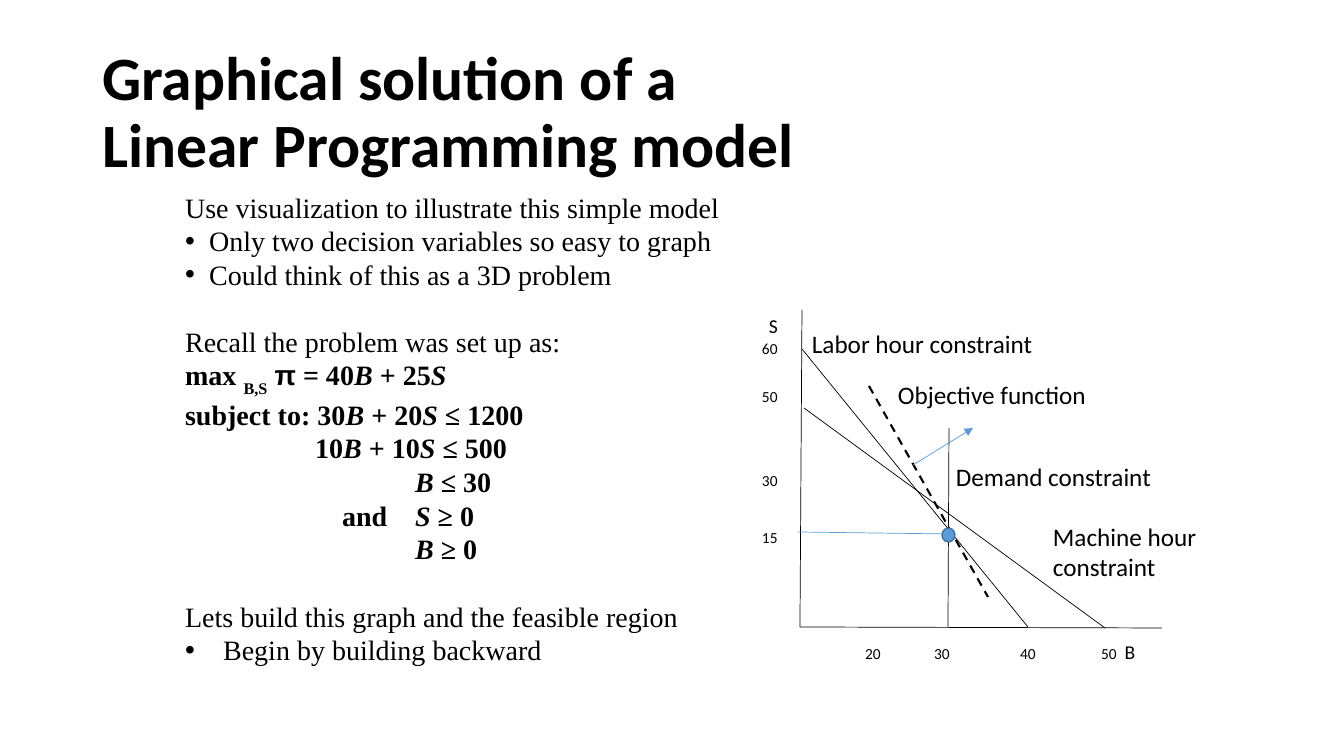
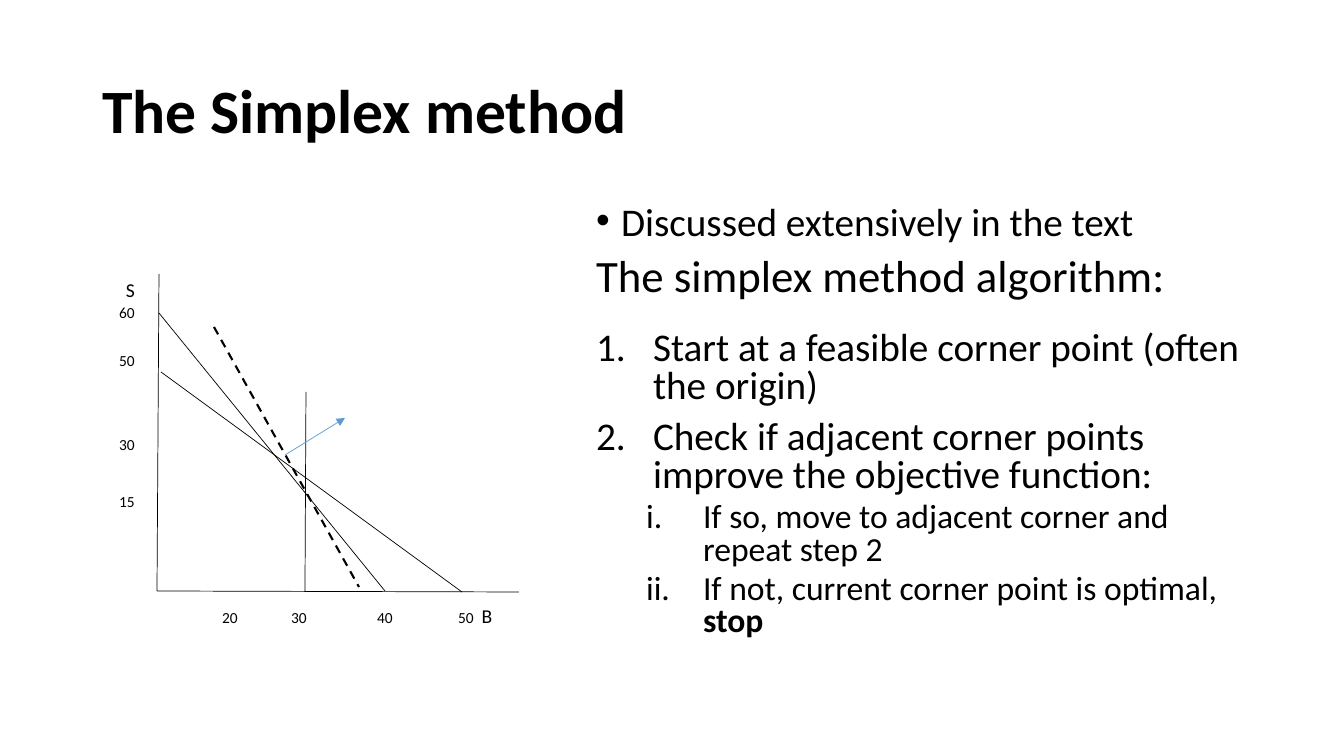
import pptx
import pptx.util
import pptx.dml.color
import pptx.enum.dml
import pptx.enum.shapes
import pptx.enum.text
import pptx.oxml
import pptx.oxml.ns

PX = 12192000 / 1344
COLORS = {"ink": "000000", "paper": "FFFFFF", "accent": "5B9BD5",
          "accent_edge": "43739E"}
SANS, SERIF = "Calibri", "Times New Roman"
TITLE_BOX = (92, 41, 1159, 146)
DOT, ARABIC, ROMAN = "•", "arabicPeriod", "romanLcPeriod"

# Run styles: b bold, i italic, s subscript, g Arial for Greek.
# Paragraph fields: runs, bullet, left, hang, size, before, after, level.
MODEL_BOX = (175, 185, 600, 500)
MODEL_STYLE = {"font": SERIF, "size": 20, "spacing": pptx.util.Pt(24)}
MODEL_TEXT = [
    {"runs": [("Use visualization to illustrate this simple model", "")]},
    {"runs": [("Only two decision variables so easy to graph", "")],
     "bullet": DOT, "left": 24, "hang": 24},
    {"runs": [("Could think of this as a 3D problem", "")],
     "bullet": DOT, "left": 24, "hang": 24},
    {"runs": [("Recall the problem was set up as:", "")], "before": 24},
    {"runs": [("max ", "b"), ("B,S", "bs"), (" ", "b"), ("π", "bg"),
              (" = 40", "b"), ("B", "bi"), (" + 25", "b"), ("S", "bi")],
     "before": 4},
    {"runs": [("subject to: 30", "b"), ("B", "bi"), (" + 20", "b"),
              ("S", "bi"), (" ≤ 1200", "b")]},
    {"runs": [("10", "b"), ("B", "bi"), (" + 10", "b"), ("S", "bi"),
              (" ≤ 500", "b")], "left": 130},
    {"runs": [("B", "bi"), (" ≤ 30", "b")], "left": 230},
    {"runs": [("and\t", "b"), ("S", "bi"), (" ≥ 0", "b")],
     "left": 230, "hang": 73},
    {"runs": [("B", "bi"), (" ≥ 0", "b")], "left": 230},
    {"runs": [("Lets build this graph and the feasible region", "")],
     "before": 24},
    {"runs": [("Begin by building backward", "")],
     "bullet": DOT, "left": 38, "hang": 38},
]

SIMPLEX_BOX = (586, 201, 665, 480)
SIMPLEX_STYLE = {"font": SANS, "size": 28, "spacing": 0.8, "before": 10}
STEP = {"bullet": ARABIC, "left": 57, "hang": 57}
SUBSTEP = {"bullet": ROMAN, "left": 107, "hang": 57, "level": 1,
           "size": 24, "before": 5}
SIMPLEX_TEXT = [
    {"runs": [("Discussed extensively in the text", "")],
     "bullet": DOT, "left": 25, "hang": 25},
    {"runs": [("The simplex method algorithm:", "")], "size": 32, "after": 12},
    {"runs": [("Start at a feasible corner point (often the origin)", "")],
     **STEP},
    {"runs": [("Check if adjacent corner points improve the objective "
               "function:", "")], **STEP},
    {"runs": [("If so, move to adjacent corner and repeat step 2", "")],
     **SUBSTEP},
    {"runs": [("If not, current corner point is optimal, ", ""),
              ("stop", "b")], **SUBSTEP},
]

# Graph parts are measured from the point where the axes meet.
GRAPH_LINES = {
    "S axis": (2, -317, 0, 0),
    "B axis": (0, 0, 362, 1),
    "demand": (149, -199, 148, 0),
    "machine hours": (4, -219, 305, 1),
    "labor hours": (2, -278, 228, 0),
}
B_PANEL = (6, 5, 358, 50)
B_TICKS = [("20", 73, 11), ("30", 142, 11), ("40", 228, 11),
           ("50", 309, 11), ("B", 330, 14)]  # text, centre x, size
S_PANEL = (-48, -320, 41, 260)
S_LINE = 21
S_TICKS = [("S", 0, 14), ("60", 21, 11), ("50", 48, 11),
           ("30", 84, 11), ("15", 57, 11)]  # text, step down, size
MODEL_GRAPH = {"origin": (800, 627), "objective": (69, -241, 188, -30),
               "improvement": (113, -162, 173, -199)}
SIMPLEX_GRAPH = {"origin": (157, 591), "objective": (57, -264, 202, -4),
                 "improvement": (128, -136, 188, -173)}
OPTIMUM_GUIDE = (149, -93, -2, -95)
OPTIMUM_DOT = (942, 528, 13, 14)
CURVE_LABELS = [
    ("Objective function", (888, 374, 211, 40)),
    ("Labor hour constraint", (802, 323, 243, 40)),
    ("Machine hour constraint", (1043, 516, 184, 72)),
    ("Demand constraint", (946, 456, 218, 40)),
]


def px(*lengths):
    return [pptx.util.Emu(round(length * PX)) for length in lengths]


def rgb(name):
    return pptx.dml.color.RGBColor.from_string(COLORS[name])


def add_child(parent, tag, **attributes):
    child = parent.makeelement(pptx.oxml.ns.qn(tag), attributes)
    parent.append(child)
    return child


def style_font(font, name, size):
    font.name, font.size = name, pptx.util.Pt(size)
    font.color.rgb = rgb("ink")


def place(shape, box):
    shape.left, shape.top, shape.width, shape.height = px(*box)
    shape.text_frame.auto_size = pptx.enum.text.MSO_AUTO_SIZE.NONE


def set_bullet(paragraph, bullet, left, hang):
    properties = paragraph._p.get_or_add_pPr()
    margin, indent = px(left, -hang)
    properties.set("marL", str(margin))
    properties.set("indent", str(indent))
    if bullet is None:
        add_child(properties, "a:buNone")
    elif bullet == DOT:
        add_child(properties, "a:buFont", typeface="Arial")
        add_child(properties, "a:buChar", char=DOT)
    else:
        add_child(properties, "a:buFont", typeface="+mj-lt")
        add_child(properties, "a:buAutoNum", type=bullet)


def fill_body(shape, box, style, items):
    place(shape, box)
    frame = shape.text_frame
    frame.vertical_anchor = pptx.enum.text.MSO_ANCHOR.TOP
    for index, item in enumerate(items):
        look = {**style, **item}
        paragraph = frame.add_paragraph() if index else frame.paragraphs[0]
        paragraph.level = look.get("level", 0)
        set_bullet(paragraph, look.get("bullet"), look.get("left", 0),
                   look.get("hang", 0))
        paragraph.line_spacing = look["spacing"]
        paragraph.space_before = pptx.util.Pt(look.get("before", 0))
        paragraph.space_after = pptx.util.Pt(look.get("after", 0))
        style_font(paragraph.font, look["font"], look["size"])
        for text, marks in look["runs"]:
            run = paragraph.add_run()
            run.text = text
            if "b" in marks:
                run.font.bold = True
            if "i" in marks:
                run.font.italic = True
            if "g" in marks:
                run.font.name = "Arial"
            if "s" in marks:
                run._r.get_or_add_rPr().set("baseline", "-30000")


def add_slide(presentation, title, box, style, items):
    slide = presentation.slides.add_slide(presentation.slide_layouts[1])
    heading = slide.shapes.title
    place(heading, TITLE_BOX)
    heading.text_frame.text = title
    heading.text_frame.vertical_anchor = pptx.enum.text.MSO_ANCHOR.MIDDLE
    paragraph = heading.text_frame.paragraphs[0]
    paragraph.alignment = pptx.enum.text.PP_ALIGN.LEFT
    paragraph.line_spacing = 0.9
    style_font(paragraph.font, SANS, 44)
    paragraph.font.bold = True
    fill_body(slide.placeholders[1], box, style, items)
    return slide


def add_label(slide, text, box):
    frame = slide.shapes.add_textbox(*px(*box)).text_frame
    frame.word_wrap = True
    frame.text = text
    style_font(frame.paragraphs[0].font, SANS, 18)


def add_panel(slide, origin, box, margins, anchor):
    """Add a white rectangle for axis labels and return its text frame."""
    left, top, width, height = box
    panel = slide.shapes.add_shape(
        pptx.enum.shapes.MSO_SHAPE.RECTANGLE,
        *px(origin[0] + left, origin[1] + top, width, height))
    panel.shadow.inherit = False
    panel.fill.solid()
    panel.fill.fore_color.rgb = rgb("paper")
    panel.line.fill.background()
    frame = panel.text_frame
    (frame.margin_left, frame.margin_top,
     frame.margin_right, frame.margin_bottom) = px(*margins)
    frame.vertical_anchor = anchor
    frame.paragraphs[0].alignment = pptx.enum.text.PP_ALIGN.LEFT
    return frame


def add_b_ticks(slide, origin):
    frame = add_panel(slide, origin, B_PANEL, (0, 0, 0, 10),
                      pptx.enum.text.MSO_ANCHOR.MIDDLE)
    paragraph = frame.paragraphs[0]
    stops = add_child(paragraph._p.get_or_add_pPr(), "a:tabLst")
    for text, centre, size in B_TICKS:
        position, = px(centre - B_PANEL[0])
        add_child(stops, "a:tab", pos=str(position), algn="ctr")
        run = paragraph.add_run()
        run.text = "\t" + text
        style_font(run.font, SANS, size)


def add_s_ticks(slide, origin):
    frame = add_panel(slide, origin, S_PANEL, (10, 9, 0, 0),
                      pptx.enum.text.MSO_ANCHOR.TOP)
    for index, (text, step, size) in enumerate(S_TICKS):
        paragraph = frame.add_paragraph() if index else frame.paragraphs[0]
        paragraph.alignment = pptx.enum.text.PP_ALIGN.LEFT
        set_bullet(paragraph, None, 0 if index else 7, 0)
        paragraph.line_spacing, = px(S_LINE)
        paragraph.space_before, = px(max(step - S_LINE, 0))
        paragraph.text = text
        style_font(paragraph.font, SANS, size)


def add_line(slide, origin, ends, color="ink", width=0.5, dashed=False,
             arrow=False):
    x, y = origin
    x1, y1, x2, y2 = ends
    connector = slide.shapes.add_connector(
        pptx.enum.shapes.MSO_CONNECTOR.STRAIGHT,
        *px(x + x1, y + y1, x + x2, y + y2))
    connector.line.color.rgb = rgb(color)
    connector.line.width = pptx.util.Pt(width)
    if dashed:
        connector.line.dash_style = pptx.enum.dml.MSO_LINE.DASH
    properties = connector._element.spPr
    if arrow:
        add_child(properties.find(pptx.oxml.ns.qn("a:ln")), "a:tailEnd",
                  type="triangle")
    add_child(properties, "a:effectLst")


def add_graph(slide, graph):
    origin = graph["origin"]
    for ends in GRAPH_LINES.values():
        add_line(slide, origin, ends)
    add_b_ticks(slide, origin)
    add_s_ticks(slide, origin)
    add_line(slide, origin, graph["objective"], width=1.5, dashed=True)
    add_line(slide, origin, graph["improvement"], "accent", arrow=True)


def add_optimum(slide, origin):
    add_line(slide, origin, OPTIMUM_GUIDE, "accent")
    dot = slide.shapes.add_shape(pptx.enum.shapes.MSO_SHAPE.OVAL,
                                 *px(*OPTIMUM_DOT))
    dot.shadow.inherit = False
    dot.fill.solid()
    dot.fill.fore_color.rgb = rgb("accent")
    dot.line.color.rgb = rgb("accent_edge")
    dot.line.width = pptx.util.Pt(1)


def main():
    presentation = pptx.Presentation()
    presentation.slide_width, presentation.slide_height = px(1344, 756)

    slide = add_slide(presentation,
                      "Graphical solution of a\vLinear Programming model",
                      MODEL_BOX, MODEL_STYLE, MODEL_TEXT)
    add_graph(slide, MODEL_GRAPH)
    for text, box in CURVE_LABELS:
        add_label(slide, text, box)
    add_optimum(slide, MODEL_GRAPH["origin"])

    slide = add_slide(presentation, "The Simplex method",
                      SIMPLEX_BOX, SIMPLEX_STYLE, SIMPLEX_TEXT)
    add_graph(slide, SIMPLEX_GRAPH)
    presentation.save("out.pptx")


if __name__ == "__main__":
    main()
